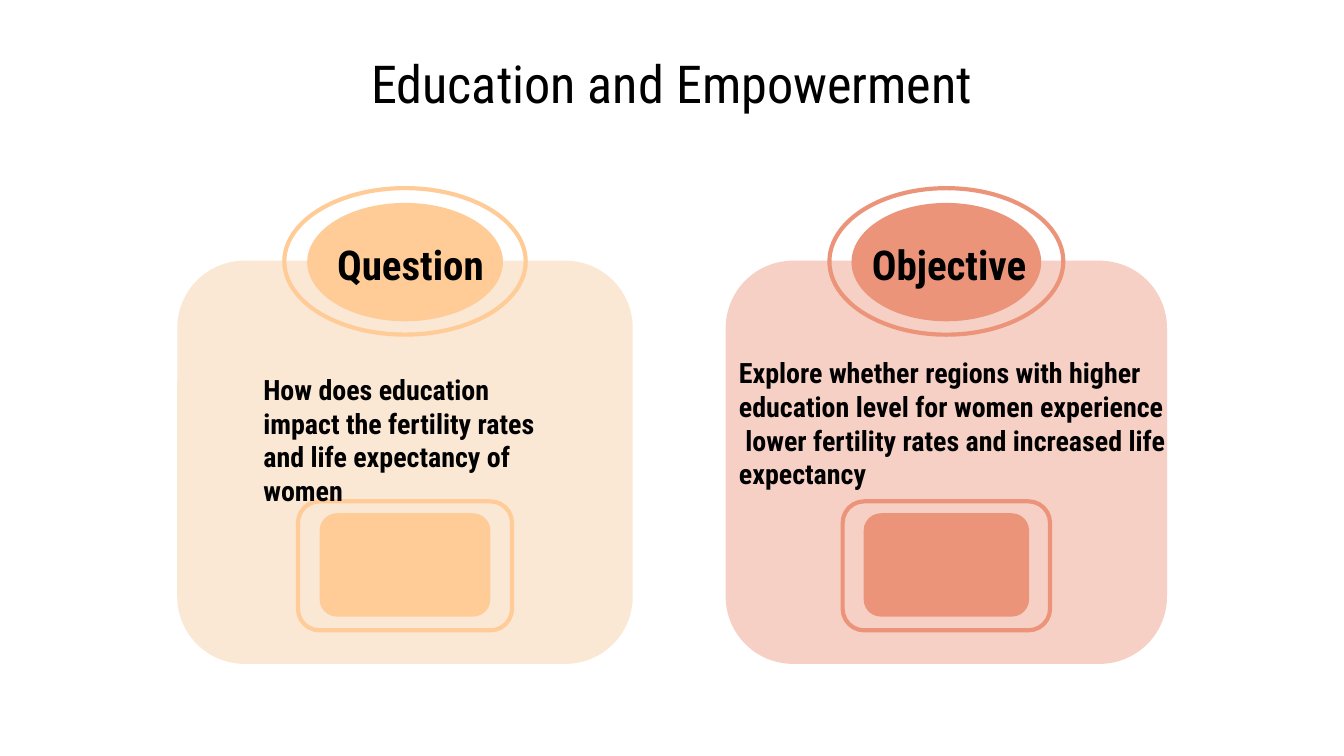
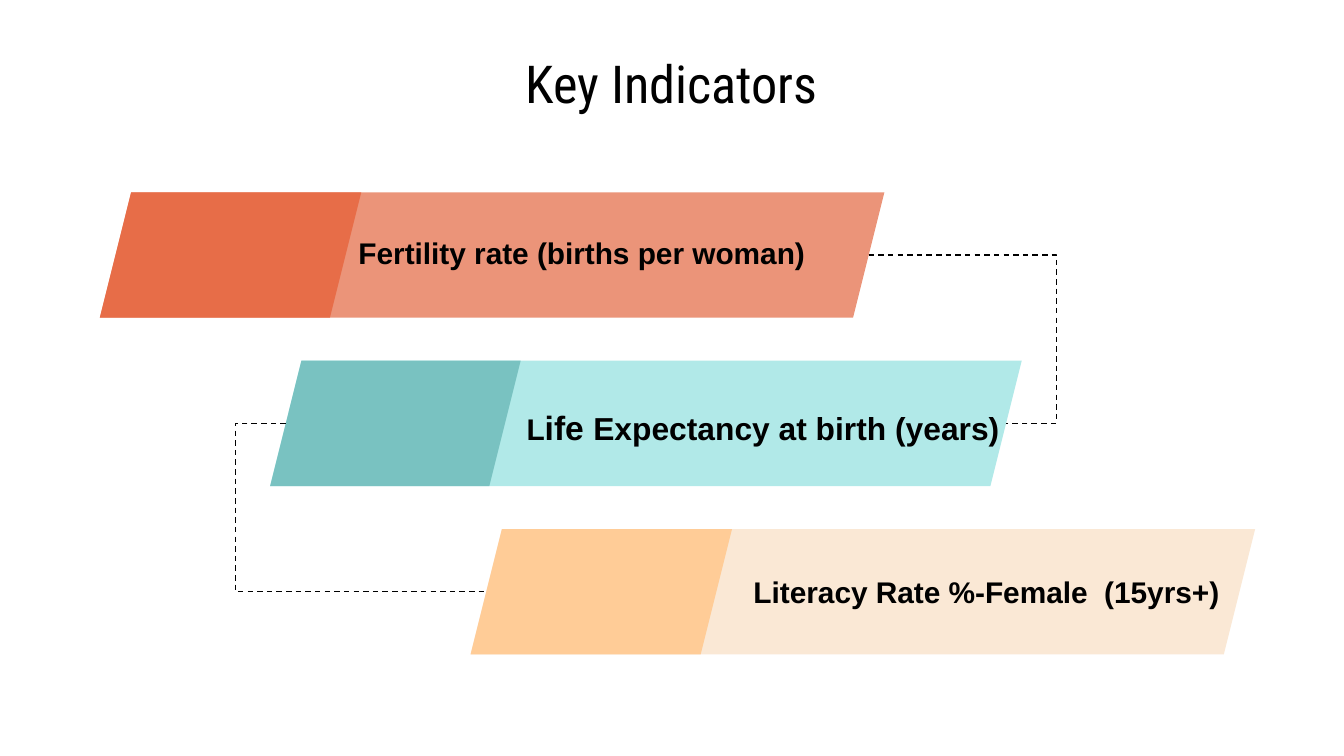
from lxml import etree
from pptx import Presentation
from pptx.dml.color import RGBColor
from pptx.enum.dml import MSO_LINE
from pptx.enum.shapes import MSO_CONNECTOR, MSO_SHAPE
from pptx.enum.text import MSO_ANCHOR, MSO_AUTO_SIZE, PP_ALIGN
from pptx.oxml.ns import qn
from pptx.util import Pt

ROUNDED = MSO_SHAPE.ROUNDED_RECTANGLE
ELLIPSE = MSO_SHAPE.OVAL
SLANTED = MSO_SHAPE.PARALLELOGRAM
ELBOW = MSO_CONNECTOR.ELBOW
DASH = MSO_LINE.DASH
LEFT, CENTER = PP_ALIGN.LEFT, PP_ALIGN.CENTER
TOP = MSO_ANCHOR.TOP
NO_AUTOFIT, GROW = MSO_AUTO_SIZE.NONE, MSO_AUTO_SIZE.SHAPE_TO_FIT_TEXT

BLACK = "000000"
CREAM, APRICOT = "FAE8D5", "FFCC97"
SALMON, CORAL = "EB9479", "E76D48"
AQUA, TEAL = "B1E9E8", "79C2C1"

HEADING_FONT, LABEL_FONT = "Roboto Condensed", "Arial"
SLANT = 0.25


def rgb(color):
    return RGBColor.from_string(color)


class Deck:
    """Holds the shared style and the slide being built."""

    inset = Pt(7.2)
    outline_width = Pt(2.25)

    def __init__(self):
        self.presentation = Presentation()
        self.presentation.slide_width = Pt(720)
        self.presentation.slide_height = Pt(405)
        self.slide = None

    def new_slide(self, title):
        layout = self.presentation.slide_layouts[6]
        self.slide = self.presentation.slides.add_slide(layout)
        self.text(title, 28.3, 20.2, 663, 45.4, size=28, bold=False,
                  align=CENTER, autofit=NO_AUTOFIT)

    def shape(self, kind, left, top, width, height, fill=None, outline=None,
              opacity=None, adjustment=None):
        shape = self.slide.shapes.add_shape(
            kind, Pt(left), Pt(top), Pt(width), Pt(height))
        shape.shadow.inherit = False
        if adjustment is not None:
            shape.adjustments[0] = adjustment
        if fill:
            shape.fill.solid()
            shape.fill.fore_color.rgb = rgb(fill)
        else:
            shape.fill.background()
        if opacity is not None:
            color = shape._element.spPr.find(f".//{qn('a:srgbClr')}")
            etree.SubElement(color, qn("a:alpha"), val=str(opacity * 1000))
        if outline:
            shape.line.color.rgb = rgb(outline)
            shape.line.width = self.outline_width
        else:
            shape.line.fill.background()

    def text(self, content, left, top, width, height, size=16,
             font=HEADING_FONT, bold=True, align=LEFT, autofit=GROW):
        """Each line of content is a paragraph; a list gives (text, size) runs."""
        box = self.slide.shapes.add_textbox(
            Pt(left), Pt(top), Pt(width), Pt(height))
        frame = box.text_frame
        frame.word_wrap = True
        frame.auto_size = autofit
        frame.vertical_anchor = TOP
        frame.margin_left = frame.margin_right = self.inset
        frame.margin_top = frame.margin_bottom = self.inset
        if isinstance(content, str):
            paragraphs = [[(line, size)] for line in content.split("\n")]
        else:
            paragraphs = [content]
        for index, runs in enumerate(paragraphs):
            paragraph = frame.add_paragraph() if index else frame.paragraphs[0]
            paragraph.alignment = align
            for words, run_size in runs:
                run = paragraph.add_run()
                run.text = words
                run.font.size = Pt(run_size)
                run.font.name = font
                run.font.bold = bold
                run.font.color.rgb = rgb(BLACK)

    def dashed_elbow(self, start, end, bend):
        """Joins two points by way of a vertical run at x = bend."""
        connector = self.slide.shapes.add_connector(
            ELBOW, *(Pt(value) for value in (*start, *end)))
        connector.line.color.rgb = rgb(BLACK)
        connector.line.width = Pt(0.75)
        connector.line.dash_style = DASH
        properties = connector._element.spPr
        etree.SubElement(properties, qn("a:effectLst"))
        ratio = round((bend - start[0]) / (end[0] - start[0]) * 100000)
        guides = properties.find(f".//{qn('a:avLst')}")
        etree.SubElement(guides, qn("a:gd"), name="adj1", fmla=f"val {ratio}")

    def card(self, left, width, color, panel_fill, opacity=None):
        """Draws a panel with a ringed disc on top and a framed block below."""
        self.shape(ROUNDED, left, 139.7, width, 216, fill=panel_fill,
                   opacity=opacity, adjustment=0.167)
        parts = (
            (ELLIPSE, 0.53, 100.8, 78.5, "outline", None),
            (ELLIPSE, 0.43, 108.7, 63.4, "fill", None),
            (ROUNDED, 0.47, 268.6, 69.1, "outline", 0.167),
            (ROUNDED, 0.375, 275, 55.4, "fill", 0.167),
        )
        for kind, share, top, height, paint, adjustment in parts:
            part_width = width * share
            self.shape(kind, left + (width - part_width) / 2, top, part_width,
                       height, adjustment=adjustment, **{paint: color})

    def bar(self, left, top, width, height, color, tab_color):
        adjustment = SLANT
        self.shape(SLANTED, left, top, width, height, fill=color,
                   adjustment=adjustment)
        self.shape(SLANTED, left, top, width / 3, height, fill=tab_color,
                   adjustment=adjustment)


def build_education(deck):
    deck.new_slide("Education and Empowerment")
    deck.card(95, 244, APRICOT, CREAM)
    deck.card(388.8, 236.4, SALMON, SALMON, opacity=43)
    deck.text("Question", 173.5, 121, 96.5, 41, size=22)
    deck.text("Objective", 460, 121, 111.6, 58.3, size=22)
    deck.text("How does education impact the fertility rates and life "
              "expectancy of women", 134, 192.4, 174.2, 69, size=15)
    deck.text("Explore whether regions with higher education level for women "
              "experience\n lower fertility rates and increased life expectancy",
              388.8, 183.5, 272.9, 87, size=15)


def build_indicators(deck):
    deck.new_slide("Key Indicators")
    first_top, pitch, height = 103, 90.2, 67.2
    bars = (
        (53.5, 420.3, SALMON, CORAL),
        (144.7, 402.7, AQUA, TEAL),
        (252.1, 420.3, CREAM, APRICOT),
    )
    side_inset = height * SLANT / 2
    left_sides, right_sides = [], []
    for row, (left, width, color, tab_color) in enumerate(bars):
        top = first_top + row * pitch
        deck.bar(left, top, width, height, color, tab_color)
        middle = top + height / 2
        left_sides.append((left + side_inset, middle))
        right_sides.append((left + width - side_inset, middle))
    deck.dashed_elbow(right_sides[0], right_sides[1], bend=566)
    deck.dashed_elbow(left_sides[1], left_sides[2], bend=126)

    deck.text("Fertility rate (births per woman)", 185, 118.8, 275.8, 33.8,
              font=LABEL_FONT)
    deck.text("Literacy Rate %-Female  (15yrs+)", 396.6, 300.2, 275.8, 33.8,
              font=LABEL_FONT)
    deck.text([("L", 16), ("ife ", 18), ("Expectancy at birth (years)", 17)],
              275, 211, 375, 36, font=LABEL_FONT)


def main():
    deck = Deck()
    build_education(deck)
    build_indicators(deck)
    deck.presentation.save("out.pptx")


if __name__ == "__main__":
    main()
